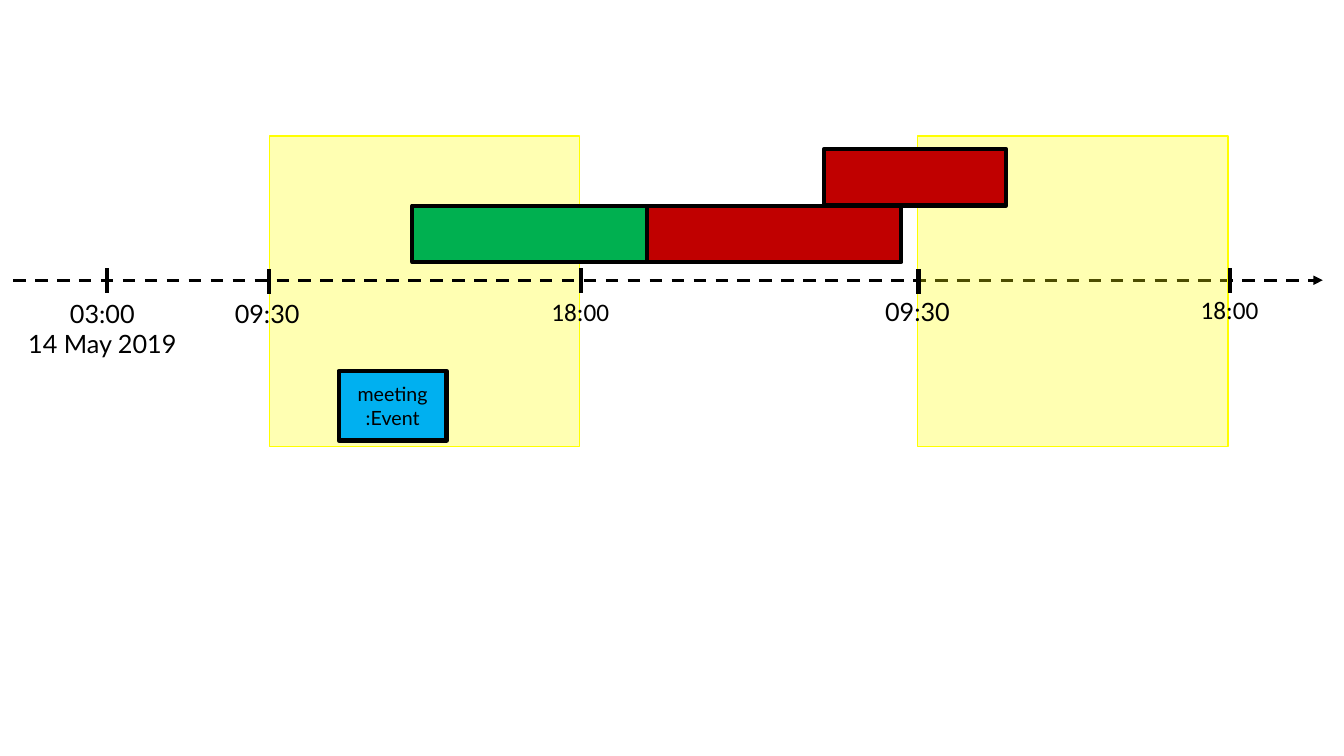
from dataclasses import dataclass

from lxml.etree import SubElement
from pptx import Presentation
from pptx.dml.color import RGBColor
from pptx.enum.dml import MSO_LINE
from pptx.enum.shapes import MSO_CONNECTOR, MSO_SHAPE
from pptx.enum.text import MSO_ANCHOR, MSO_AUTO_SIZE, PP_ALIGN
from pptx.oxml.ns import qn
from pptx.util import Inches, Pt


@dataclass(frozen=True)
class Theme:
    ink: str = "000000"
    office_hours: str = "FFFF00"
    accepted: str = "00B050"
    rejected: str = "C00000"
    event: str = "00B0F0"
    main_font: str = "Lato"
    closing_font: str = "Calibri"
    label_size: int = 18
    event_size: int = 14
    thin: float = 1
    axis: float = 2.25
    thick: float = 3
    office_opacity: int = 30


class Timeline:
    def __init__(self, slide, theme):
        self.slide = slide
        self.theme = theme

    def box(self, left, top, width, height, color, border=None, weight=None, opacity=None):
        shape = self.slide.shapes.add_shape(
            MSO_SHAPE.RECTANGLE, Inches(left), Inches(top), Inches(width), Inches(height)
        )
        shape.shadow.inherit = False
        shape.fill.solid()
        shape.fill.fore_color.rgb = RGBColor.from_string(color)
        shape.line.color.rgb = RGBColor.from_string(border or self.theme.ink)
        shape.line.width = Pt(weight or self.theme.thick)
        if opacity:
            fill_color = shape.element.spPr.find(qn("a:solidFill"))[0]
            SubElement(fill_color, qn("a:alpha"), val=str(opacity * 1000))
        return shape

    def office_day(self, left):
        theme = self.theme
        self.box(left, 1.35, 3.08, 3.08, theme.office_hours,
                 theme.office_hours, theme.thin, theme.office_opacity)

    def line(self, start, end, weight):
        connector = self.slide.shapes.add_connector(
            MSO_CONNECTOR.STRAIGHT, *map(Inches, start + end)
        )
        connector.line.color.rgb = RGBColor.from_string(self.theme.ink)
        connector.line.width = Pt(weight)
        SubElement(connector.element.spPr, qn("a:effectLst"))
        return connector

    def axis(self, left, right, top):
        connector = self.line((left, top), (right, top), self.theme.axis)
        connector.line.dash_style = MSO_LINE.DASH
        outline = connector.element.spPr.find(qn("a:ln"))
        SubElement(outline, qn("a:tailEnd"), type="triangle")

    def tick(self, left, top):
        self.line((left, top), (left, top + 0.25), self.theme.thick)

    def set_text(self, shape, lines, font, size, alignment):
        frame = shape.text_frame
        frame.text = "\n".join(lines)
        for paragraph in frame.paragraphs:
            paragraph.alignment = alignment
            paragraph.font.name = font
            paragraph.font.size = Pt(size)
            paragraph.font.color.rgb = RGBColor.from_string(self.theme.ink)

    def label(self, left, top, width, height, lines, font, alignment=PP_ALIGN.LEFT):
        shape = self.slide.shapes.add_textbox(
            Inches(left), Inches(top), Inches(width), Inches(height)
        )
        self.set_text(shape, lines, font, self.theme.label_size, alignment)
        shape.text_frame.word_wrap = False
        shape.text_frame.auto_size = MSO_AUTO_SIZE.SHAPE_TO_FIT_TEXT

    def event(self, left, top, width, height, lines):
        shape = self.box(left, top, width, height, self.theme.event)
        self.set_text(shape, lines, self.theme.main_font, self.theme.event_size, PP_ALIGN.CENTER)
        shape.text_frame.vertical_anchor = MSO_ANCHOR.MIDDLE


presentation = Presentation()
presentation.slide_width = Inches(13.33)
presentation.slide_height = Inches(7.5)
slide = presentation.slides.add_slide(presentation.slide_layouts[6])
theme = Theme()
timeline = Timeline(slide, theme)

timeline.office_day(2.67)
timeline.axis(0.13, 13.12, 2.78)
for left, top in [(1.06, 2.66), (2.67, 2.67), (5.76, 2.66)]:
    timeline.tick(left, top)
timeline.office_day(9.1)

for left, top, width, color in [
    (4.09, 2.04, 2.35, theme.accepted),
    (8.17, 1.48, 1.81, theme.rejected),
    (6.42, 2.04, 2.52, theme.rejected),
]:
    timeline.box(left, top, width, 0.56, color)

for left, top in [(9.11, 2.67), (12.2, 2.66)]:
    timeline.tick(left, top)

for opening, opening_top, closing, closing_top in [
    (2.23, 2.91, 5.37, 2.89),
    (8.68, 2.89, 11.81, 2.87),
]:
    timeline.label(opening, opening_top, 0.85, 0.4, ["09:30"], theme.main_font)
    timeline.label(closing, closing_top, 0.78, 0.4, ["18:00"], theme.closing_font)
timeline.label(0.16, 2.91, 1.71, 0.71, ["03:00", "14 May 2019"],
               theme.main_font, PP_ALIGN.CENTER)

timeline.event(3.36, 3.68, 1.07, 0.69, ["meeting", ":Event"])

presentation.save("out.pptx")
